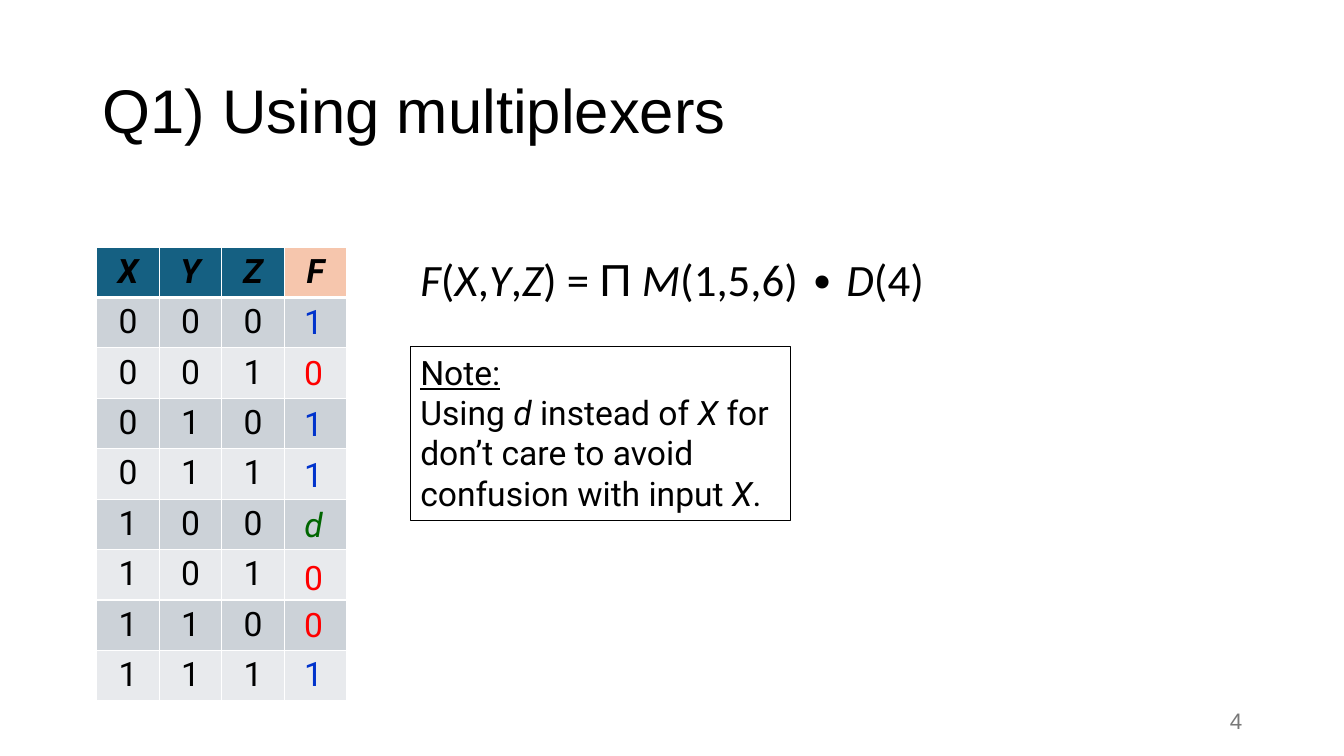
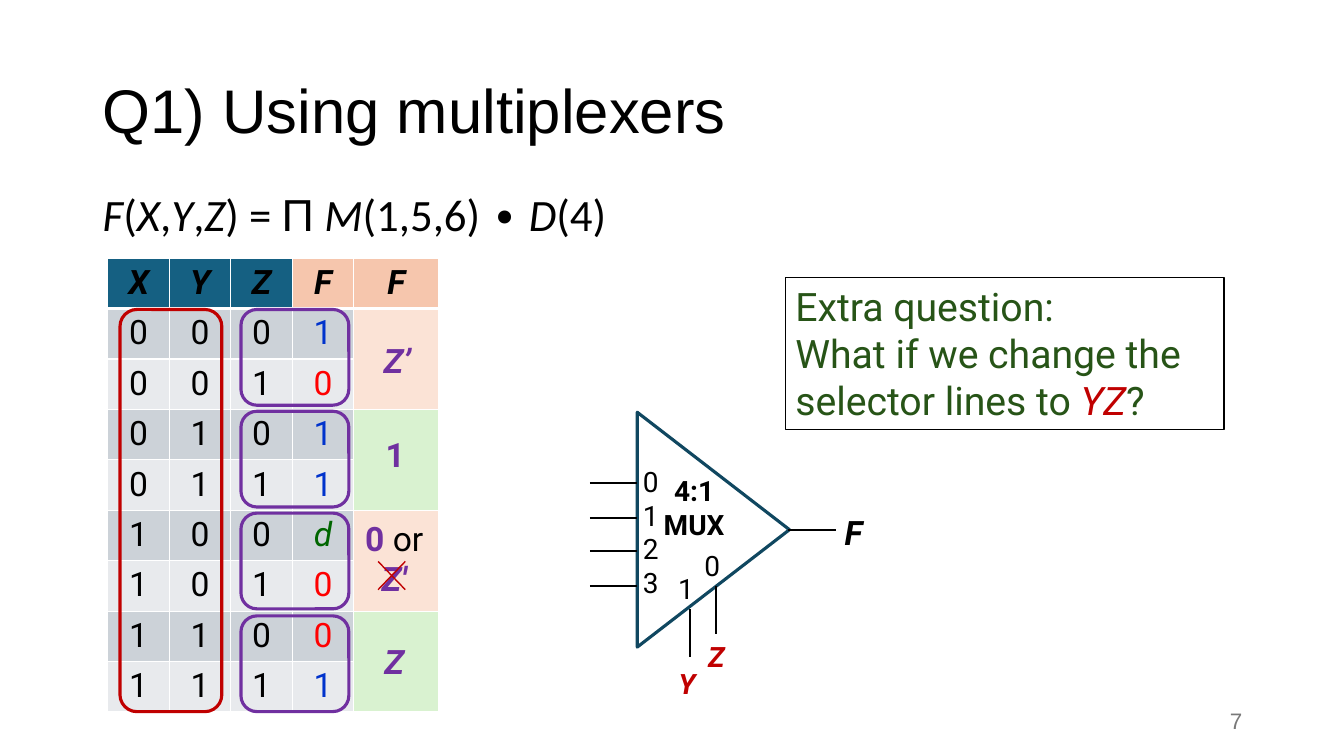
import dataclasses
import itertools

import lxml.etree
import pptx
import pptx.dml.color
import pptx.enum.shapes
import pptx.enum.text
import pptx.oxml.ns
import pptx.util

Inches = pptx.util.Inches
Pt = pptx.util.Pt
Align = pptx.enum.text.PP_ALIGN
Anchor = pptx.enum.text.MSO_ANCHOR
Preset = pptx.enum.shapes.MSO_SHAPE
qn = pptx.oxml.ns.qn


@dataclasses.dataclass(frozen=True)
class Style:
    size: int
    color: str = "000000"
    font: str = "Roboto"
    bold: bool = False
    italic: bool = False
    underline: bool = False

    def but(self, **changes):
        return dataclasses.replace(self, **changes)


class Theme:
    black, white = "000000", "FFFFFF"
    red, purple, dark_green = "C00000", "7030A0", "275417"
    mux_outline = "104760"
    input_header, output_header = "156082", "F6C6AD"
    bands = ("CCD2D8", "E8EAED")
    reduced_fills = ("FBE3D6", "D9F2D0")

    title = Style(44, font="Arial")
    page_number = Style(16, "797979", "Arial")
    formula = Style(32, font="Calibri")
    body = Style(24)
    pin = Style(20)
    question = Style(28, dark_green)
    header = body.but(bold=True, italic=True)
    reduced = body.but(color=purple, bold=True)
    outputs = {
        "0": body.but(color="FF0000"),
        "1": body.but(color="0033CC"),
        "d": body.but(color="006600", italic=True),
    }


def rgb(value):
    return pptx.dml.color.RGBColor.from_string(value)


def write(frame, paragraphs, align):
    """Fill a text frame; each paragraph is a list of (text, style) runs."""
    for index, runs in enumerate(paragraphs):
        paragraph = frame.paragraphs[0] if index == 0 else frame.add_paragraph()
        paragraph.alignment = align
        for text, style in runs:
            if text == "\n":
                paragraph.add_line_break()
                continue
            run = paragraph.add_run()
            run.text = text
            run.font.size = Pt(style.size)
            run.font.name = style.font
            run.font.color.rgb = rgb(style.color)
            run.font.bold = style.bold
            run.font.italic = style.italic
            run.font.underline = style.underline


def set_borders(cell, **widths):
    """Draw white cell borders; widths are points by side, in L, R, T, B order."""
    properties = cell._tc.get_or_add_tcPr()
    for side, width in widths.items():
        border = lxml.etree.SubElement(properties, qn(f"a:ln{side}"), w=str(Pt(width)))
        fill = lxml.etree.SubElement(border, qn("a:solidFill"))
        lxml.etree.SubElement(fill, qn("a:srgbClr"), val=Theme.white)


class Deck:
    def __init__(self):
        self.presentation = pptx.Presentation()
        self.presentation.slide_width = Inches(13.33)
        self.presentation.slide_height = Inches(7.5)
        self.slide = None

    def new_slide(self, title, number):
        self.slide = self.presentation.slides.add_slide(self.presentation.slide_layouts[6])
        heading = self.text(0.92, 0.4, 11.5, 1.45, [[(title, Theme.title)]],
                            Align.LEFT, Anchor.MIDDLE)
        heading.paragraphs[0].line_spacing = 0.9
        self.text(9.42, 6.95, 3, 0.4, [[(number, Theme.page_number)]],
                  Align.RIGHT, Anchor.MIDDLE)

    def text(self, left, top, width, height, paragraphs,
             align=Align.CENTER, anchor=Anchor.TOP):
        frame = self.slide.shapes.add_textbox(
            Inches(left), Inches(top), Inches(width), Inches(height)).text_frame
        frame.word_wrap = True
        frame.vertical_anchor = anchor
        write(frame, paragraphs, align)
        return frame

    def outline(self, preset, left, top, width, height, color, weight):
        shape = self.slide.shapes.add_shape(
            preset, Inches(left), Inches(top), Inches(width), Inches(height))
        shape.shadow.inherit = False
        shape.fill.background()
        shape.line.color.rgb = rgb(color)
        shape.line.width = Pt(weight)
        return shape

    def note(self, left, top, width, height, paragraphs):
        frame = self.outline(Preset.RECTANGLE, left, top, width, height,
                             Theme.black, 0.75).text_frame
        frame.word_wrap = True
        frame.vertical_anchor = Anchor.TOP
        write(frame, paragraphs, Align.LEFT)

    def line(self, x1, y1, x2, y2, color=Theme.black, weight=1.5):
        connector = self.slide.shapes.add_connector(
            pptx.enum.shapes.MSO_CONNECTOR.STRAIGHT,
            Inches(x1), Inches(y1), Inches(x2), Inches(y2))
        connector.line.color.rgb = rgb(color)
        connector.line.width = Pt(weight)
        lxml.etree.SubElement(connector._element.spPr, qn("a:effectLst"))

    def formula(self, left, top):
        plain = Theme.formula
        slanted = plain.but(italic=True)
        self.text(left, top, 6.35, 0.64, [[
            ("F", slanted), ("(", plain), ("X", slanted), (",", plain),
            ("Y", slanted), (",", plain), ("Z", slanted), (") = ", plain),
            ("Π", plain.but(font="Arial")), (" ", plain), ("M", slanted),
            ("(1,5,6) ∙ ", plain), ("D", slanted), ("(4)", plain),
        ]], Align.LEFT)

    def truth_table(self, left, top, column_widths, show_outputs):
        """Tabulate F; a fifth column is merged into cells two rows high."""
        headers = "XYZFF"[:len(column_widths)]
        inputs = list(itertools.product("01", repeat=3))
        row_count = len(inputs) + 1
        table = self.slide.shapes.add_table(
            row_count, len(headers), Inches(left), Inches(top),
            Inches(sum(column_widths)), Inches(ROW * row_count)).table
        table.horz_banding = False
        for column, width in zip(table.columns, column_widths):
            column.width = Inches(width)
        for row in table.rows:
            row.height = Inches(ROW)

        def fill_cell(row, column, color, *runs):
            cell = table.cell(row, column)
            set_borders(cell, L=1, R=1, T=3 if row == 1 else 1, B=3 if row == 0 else 1)
            cell.fill.solid()
            cell.fill.fore_color.rgb = rgb(color)
            write(cell.text_frame, [runs], Align.CENTER)

        for column, name in enumerate(headers):
            color = Theme.output_header if name == "F" else Theme.input_header
            fill_cell(0, column, color, (name, Theme.header))
        for row, (bits, output) in enumerate(zip(inputs, OUTPUTS), start=1):
            band = Theme.bands[(row - 1) % 2]
            for column, bit in enumerate(bits):
                fill_cell(row, column, band, (bit, Theme.body))
            shown = [(output, Theme.outputs[output])] if show_outputs else []
            fill_cell(row, 3, band, *shown)
            if len(headers) == 5:
                fill_cell(row, 4, Theme.reduced_fills[(row - 1) // 2 % 2])
        if len(headers) == 5:
            for row in range(1, row_count, 2):
                table.cell(row, 4).merge(table.cell(row + 1, 4))

    def multiplexer(self):
        pin, bold = Theme.pin, Theme.pin.but(bold=True)
        selector = bold.but(color=Theme.red, italic=True)
        self.text(6.17, 4.56, 0.57, 1.45, [[(digit, pin)] for digit in "0123"])
        body = self.outline(Preset.FLOWCHART_EXTRACT, 5.91, 4.5, 2.33, 1.51,
                            Theme.mux_outline, 2.25)
        body.rotation = 90
        self.text(6.3, 4.65, 1.17, 0.77, [[("4:1", bold)], [("MUX", bold)]])
        for y in (4.79, 5.14, 5.47, 5.81):
            self.line(5.85, y, 6.32, y)
        for digit, name, x, y, name_left, name_top in (
                ("1", "Y", 6.84, 6.04, 6.53, 6.56), ("0", "Z", 7.1, 5.81, 6.82, 6.3)):
            self.text(x - 0.32, y - 0.42, 0.57, 0.44, [[(digit, pin)]])
            self.line(x, y, x, y + 0.48)
            self.text(name_left, name_top, 0.57, 0.44, [[(name, selector)]])
        self.line(7.82, 5.26, 8.29, 5.26)
        self.text(8.18, 5.03, 0.57, 0.5, [[("F", Theme.header)]])


ROW = 0.5
OUTPUTS = "1011d001"
TITLE = "Q1) Using multiplexers"


def build_function_slide(deck):
    body, slanted = Theme.body, Theme.body.but(italic=True)
    deck.new_slide(TITLE, "4")
    deck.formula(4.07, 2.45)
    deck.truth_table(0.96, 2.45, [0.62] * 4, show_outputs=False)
    output_tops = (2.94, 3.44, 3.95, 4.45, 4.95, 5.48, 5.94, 6.43)
    for output, top in zip(OUTPUTS, output_tops):
        deck.text(2.84, top, 0.54, 0.5, [[(output, Theme.outputs[output])]])
    deck.note(4.07, 3.44, 3.77, 1.72, [
        [("Note:", body.but(underline=True))],
        [("Using ", body), ("d", slanted), (" instead of ", body), ("X", slanted),
         (" for don’t care to avoid confusion with input ", body),
         ("X", slanted), (".", body)],
    ])


def build_multiplexer_slide(deck):
    reduced, question = Theme.reduced, Theme.question
    slanted = reduced.but(italic=True)
    deck.new_slide(TITLE, "7")
    deck.formula(0.92, 1.8)
    deck.truth_table(1.07, 2.56, [0.61] * 4 + [0.84], show_outputs=True)
    deck.outline(Preset.ROUNDED_RECTANGLE, 1.19, 3.07, 1.01, 3.99, Theme.red, 2.25)
    for top in (3.07, 4.08, 5.09, 6.11):
        deck.outline(Preset.ROUNDED_RECTANGLE, 2.39, top, 1.07, 0.95, Theme.purple, 2.25)
    for left, top, width, height, paragraphs in (
            (3.65, 3.32, 0.58, 0.5, [[("Z’", slanted)]]),
            (3.63, 4.26, 0.58, 0.5, [[("1", reduced)]]),
            (3.47, 5.09, 0.88, 0.91,
             [[("0 ", reduced), ("or", Theme.body)], [("Z'", slanted)]]),
            (3.62, 6.31, 0.58, 0.5, [[("Z", slanted)]])):
        deck.text(left, top, width, height, paragraphs)
    for start, end in ((5.57, 5.85), (5.85, 5.57)):
        deck.line(3.75, start, 4.02, end, Theme.red, 1)
    deck.multiplexer()
    deck.note(7.79, 2.75, 4.35, 1.51, [[
        ("Extra question:", question), ("\n", question),
        ("What if we change the selector lines to ", question),
        ("YZ", question.but(color=Theme.red, italic=True)), ("?", question),
    ]])


def main():
    deck = Deck()
    build_function_slide(deck)
    build_multiplexer_slide(deck)
    deck.presentation.save("out.pptx")


if __name__ == "__main__":
    main()
